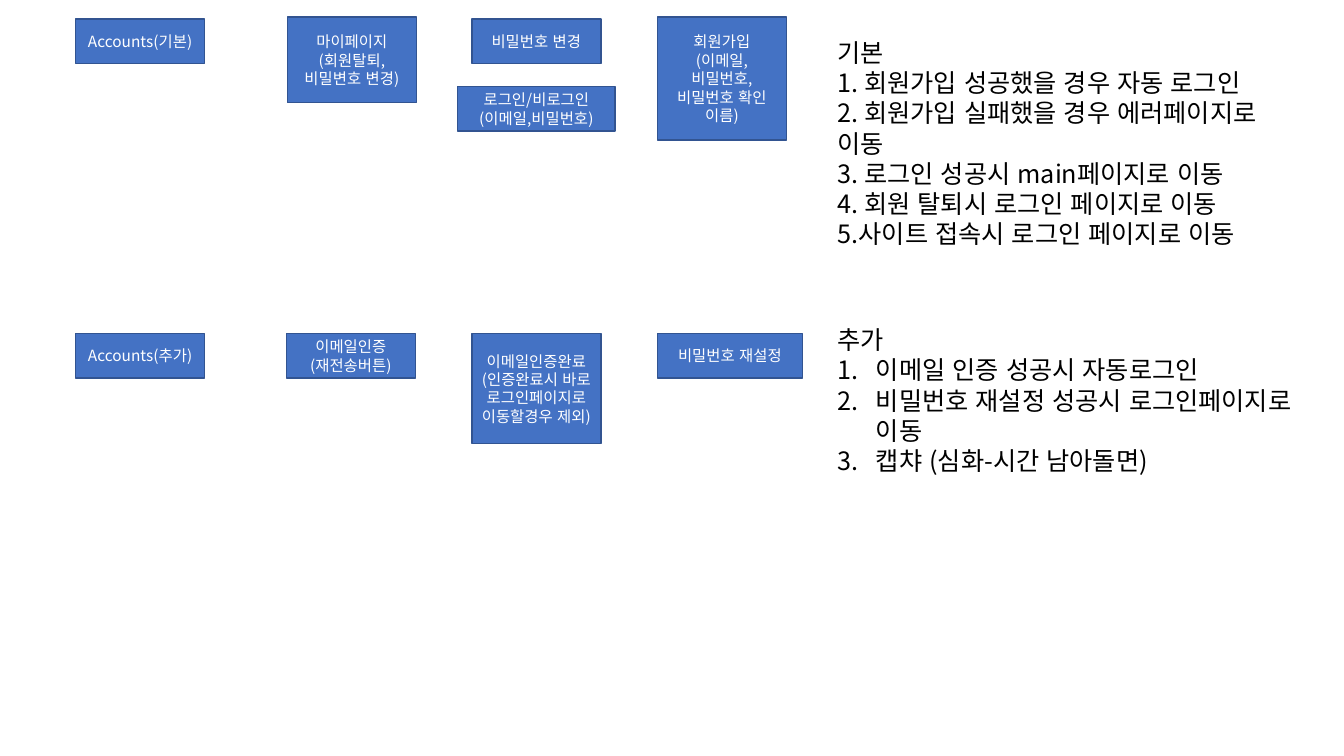
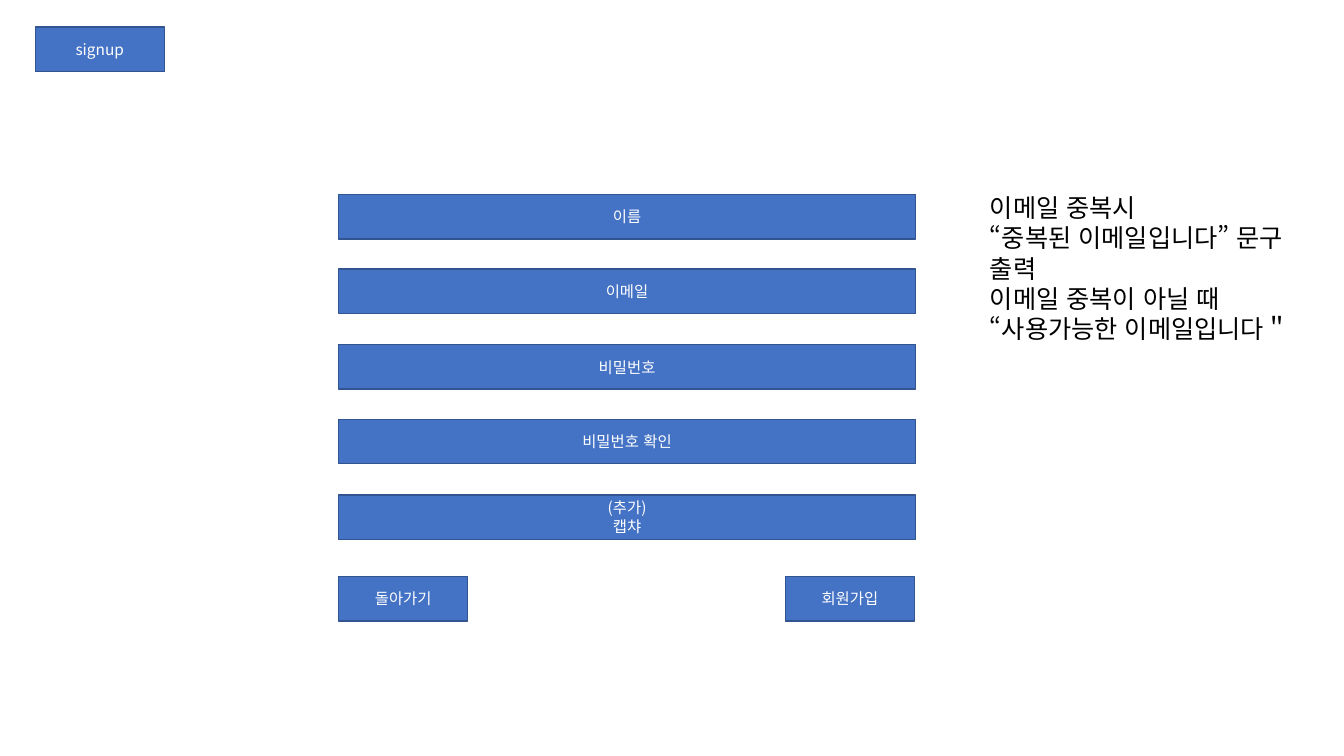
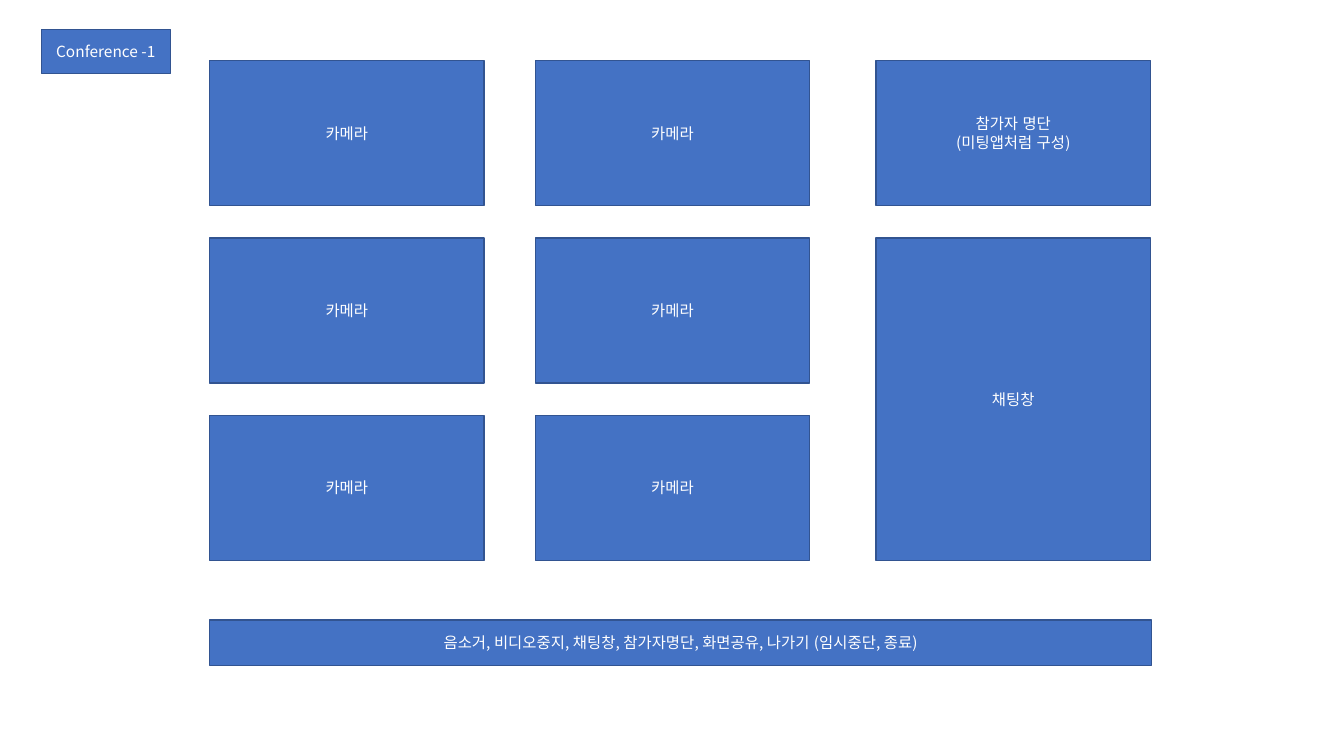
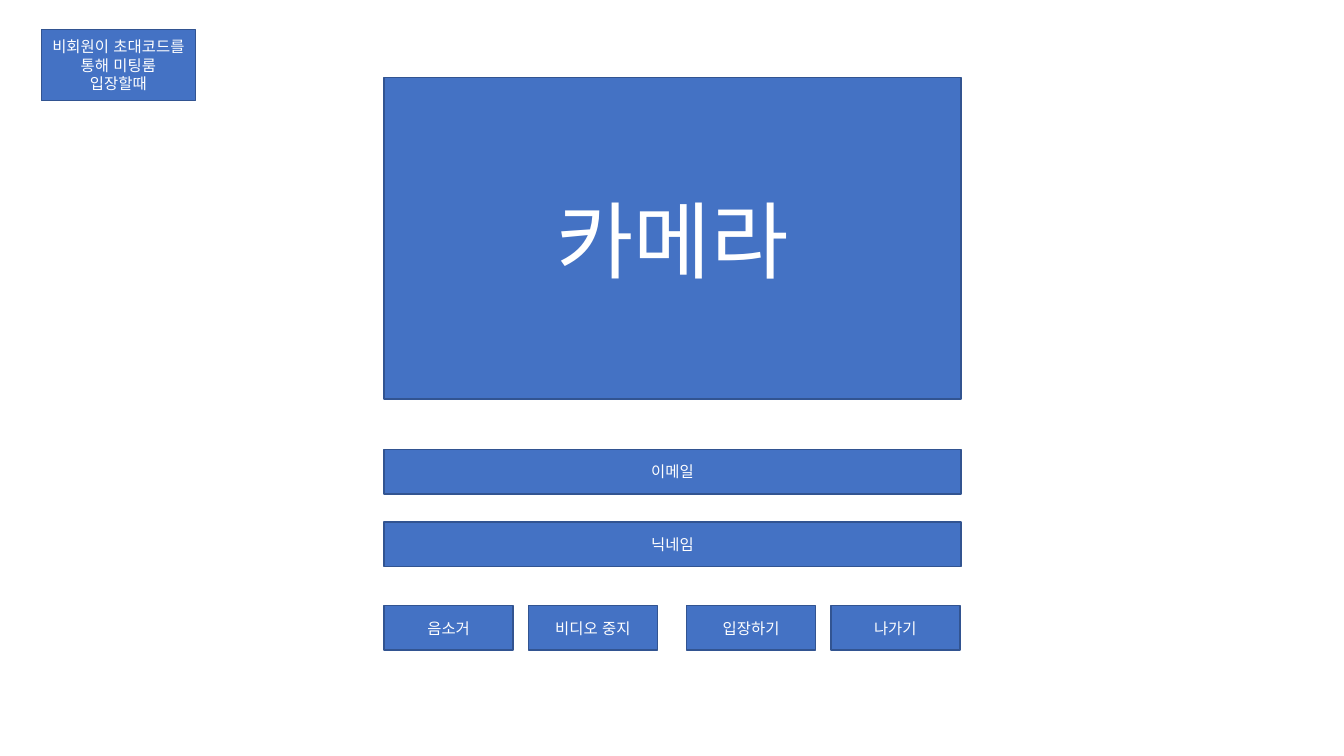
from pptx import Presentation
from pptx import util as u
from pptx.dml.color import RGBColor
from pptx.enum import lang, shapes, text
from pptx.oxml.ns import qn

PX = 9144


def color(code):
    return RGBColor.from_string(code)


class Deck:
    """Holds the wireframe style and the current slide."""

    FONT = "Noto Sans CJK KR"
    FILL, EDGE, LIGHT, DARK = "4472C4", "325491", "FFFFFF", "000000"
    WIDE, HIGH = 128, 44

    def __init__(self):
        self.prs = Presentation()
        self.prs.slide_width = 1333 * PX
        self.prs.slide_height = 750 * PX
        self.slide = None

    def page(self):
        self.slide = self.prs.slides.add_slide(self.prs.slide_layouts[6])

    def style(self, frame, size, tone, align):
        for para in frame.paragraphs:
            para.alignment = align
            for run in para.runs:
                font = run.font
                font.size = u.Pt(size)
                font.name = self.FONT
                font.color.rgb = color(tone)
                font.language_id = lang.MSO_LANGUAGE_ID.KOREAN
                east = run._r.get_or_add_rPr().makeelement(qn("a:ea"), {"typeface": self.FONT})
                font._element.find(qn("a:latin")).addnext(east)

    def box(self, words, x, y, w=WIDE, h=HIGH, size=11):
        box = self.slide.shapes.add_shape(
            shapes.MSO_SHAPE.RECTANGLE, x * PX, y * PX, w * PX, h * PX)
        box.shadow.inherit = False
        box.fill.solid()
        box.fill.fore_color.rgb = color(self.FILL)
        box.line.color.rgb = color(self.EDGE)
        box.line.width = u.Pt(1)
        frame = box.text_frame
        frame.text = words
        frame.word_wrap = True
        frame.vertical_anchor = text.MSO_ANCHOR.MIDDLE
        self.style(frame, size, self.LIGHT, text.PP_ALIGN.CENTER)

    def note(self, words, x, y, w, h, listed=False):
        frame = self.slide.shapes.add_textbox(x * PX, y * PX, w * PX, h * PX).text_frame
        frame.text = words
        frame.word_wrap = True
        frame.auto_size = text.MSO_AUTO_SIZE.SHAPE_TO_FIT_TEXT
        self.style(frame, 18, self.DARK, text.PP_ALIGN.LEFT)
        if listed:
            for para in frame.paragraphs[1:]:
                self.number(para)

    def number(self, para):
        props = para._p.get_or_add_pPr()
        props.set("marL", str(38 * PX))
        props.set("indent", str(-38 * PX))
        props.append(props.makeelement(qn("a:buAutoNum"), {"type": "arabicPeriod"}))


def accounts(deck):
    deck.page()
    deck.box("Accounts(기본)", 75, 19)
    deck.box("마이페이지\n(회원탈퇴, 비밀변호 변경)", 285, 17, h=85)
    deck.box("비밀번호 변경", 468, 19)
    deck.box("로그인/비로그인\n(이메일,비밀번호)", 454, 86, w=156)
    deck.box("회원가입\n(이메일,\n비밀번호,\n비밀번호 확인\n이름)", 652, 17, h=122)
    deck.box("Accounts(추가)", 75, 331)
    deck.box("이메일인증\n(재전송버튼)", 284, 331)
    deck.box("이메일인증완료\n(인증완료시 바로 로그인페이지로 이동할경우 제외)", 468, 331, h=109)
    deck.box("비밀번호 재설정", 652, 331, w=144)
    deck.note("기본\n"
              "1. 회원가입 성공했을 경우 자동 로그인\n"
              "2. 회원가입 실패했을 경우 에러페이지로 이동\n"
              "3. 로그인 성공시 main페이지로 이동\n"
              "4. 회원 탈퇴시 로그인 페이지로 이동\n"
              "5.사이트 접속시 로그인 페이지로 이동", 821, 32, 486, 222)
    deck.note("추가\n"
              "이메일 인증 성공시 자동로그인\n"
              "비밀번호 재설정 성공시 로그인페이지로 이동\n"
              "캡챠 (심화-시간 남아돌면)", 821, 317, 486, 162, listed=True)


def signup(deck):
    deck.page()
    deck.box("signup", 35, 27)
    fields = ["이름", "이메일", "비밀번호", "비밀번호 확인", "(추가)\n캡챠"]
    for i, name in enumerate(fields):
        deck.box(name, 336, 193 + i * 149 // 2, w=572)
    deck.box("돌아가기", 336, 572)
    deck.box("회원가입", 779, 572)
    deck.note("이메일 중복시\n"
              "“중복된 이메일입니다” 문구 출력\n"
              "이메일 중복이 아닐 때\n"
              "“사용가능한 이메일입니다＂", 972, 186, 339, 162)


def meeting(deck):
    wide, high, top, step = 272, 144, 60, 176
    deck.page()
    deck.box("Conference -1", 41, 29)
    for row in range(3):
        for x in (208, 531):
            deck.box("카메라", x, top + row * step, wide, high)
    deck.box("참가자 명단\n(미팅앱처럼 구성)", 869, top, wide, high)
    deck.box("채팅창", 869, top + step, wide, step + high)
    deck.box("음소거, 비디오중지, 채팅창, 참가자명단, 화면공유, 나가기 (임시중단, 종료)",
             208, 615, w=934, h=45)


def guest(deck):
    left, wide = 381, 572
    deck.page()
    deck.box("비회원이 초대코드를 통해 미팅룸 입장할때", 41, 29, w=153, h=71)
    deck.box("카메라", left, 77, wide, 319, size=60)
    deck.box("이메일", left, 446, wide)
    deck.box("닉네임", left, 518, wide)
    for start, names in ((left, ("음소거", "비디오 중지")), (681, ("입장하기", "나가기"))):
        for i, name in enumerate(names):
            deck.box(name, start + i * 143, 601)


def main():
    deck = Deck()
    for draw in (accounts, signup, meeting, guest):
        draw(deck)
    deck.prs.save("out.pptx")


if __name__ == "__main__":
    main()
